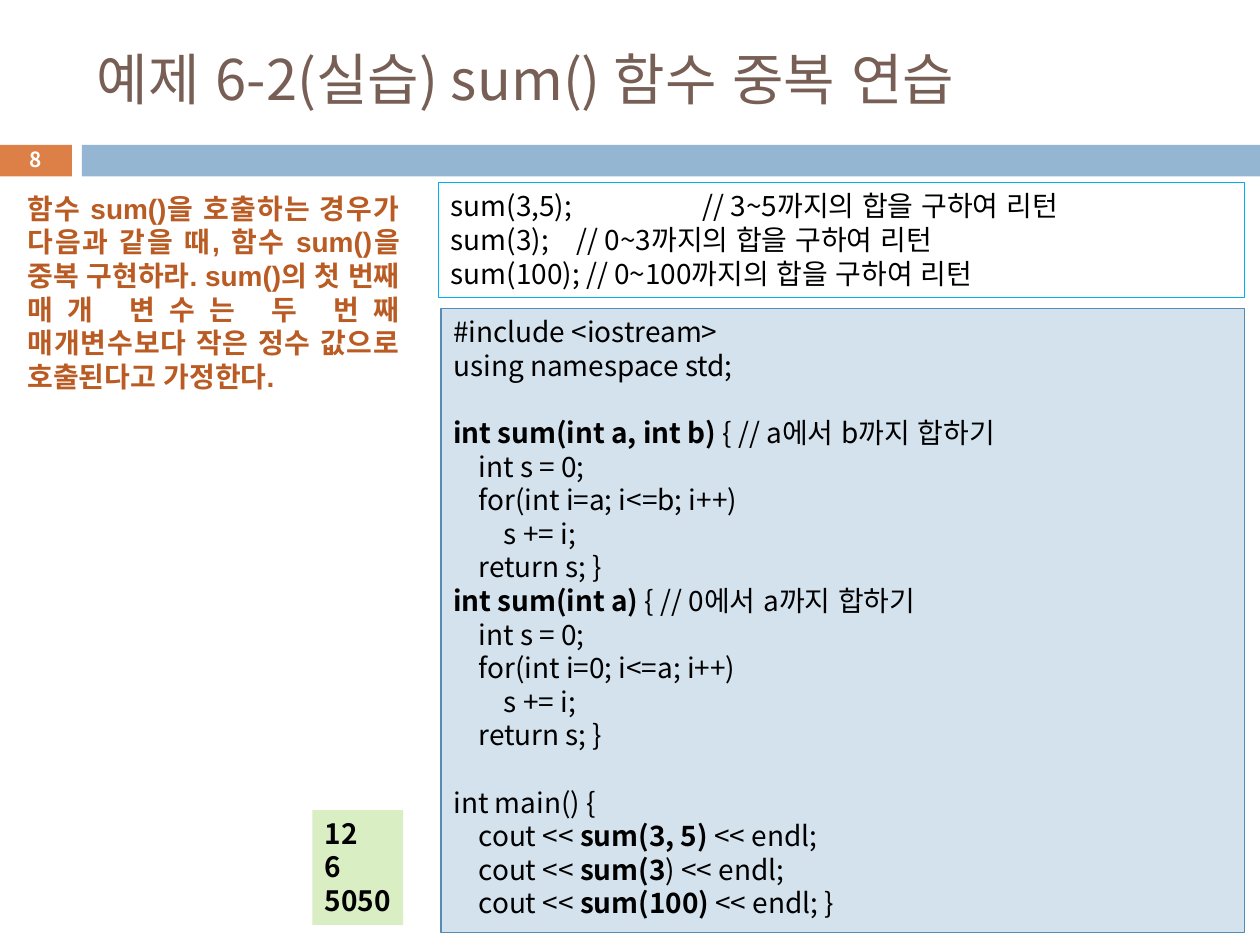
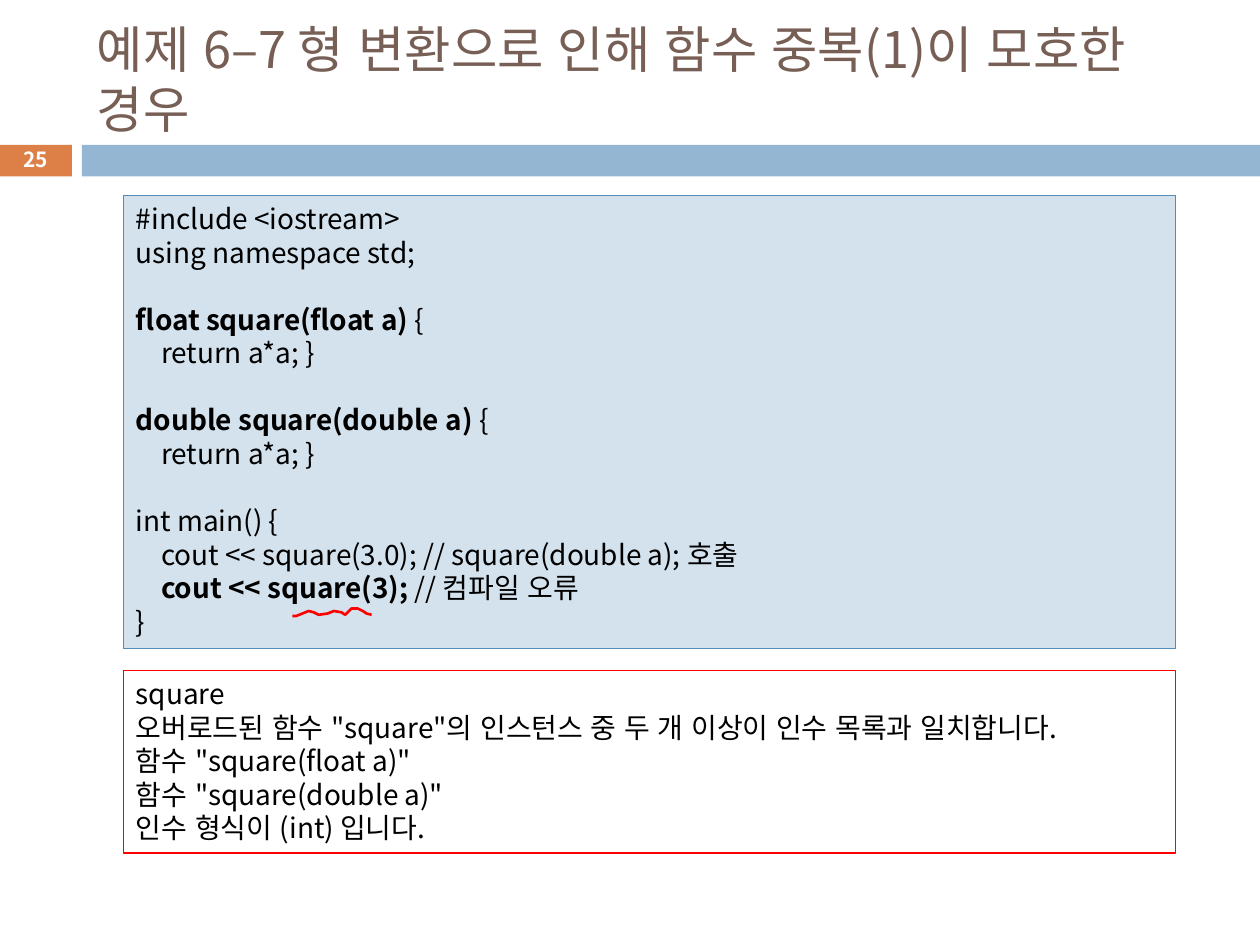
from lxml.etree import SubElement
from pptx import Presentation
from pptx.dml.color import RGBColor as RGB
from pptx.enum.lang import MSO_LANGUAGE_ID as Lang
from pptx.enum.shapes import MSO_SHAPE as Shape
from pptx.enum.text import MSO_ANCHOR as Anchor, PP_ALIGN as Align
from pptx.oxml.ns import qn
from pptx.util import Inches, Pt

SANS, ARIAL = "Noto Sans CJK KR", "Arial"
BLACK, WHITE, RED = RGB(0, 0, 0), RGB(255, 255, 255), RGB(255, 0, 0)
ORANGE, BLUE = RGB(0xDD, 0x80, 0x47), RGB(0x94, 0xB6, 0xD2)
BROWN, RUST = RGB(0x77, 0x5F, 0x55), RGB(0xB9, 0x5B, 0x22)
PALE, STEEL = RGB(0xD4, 0xE2, 0xED), RGB(0x55, 0x8B, 0xB8)
CYAN, GREEN = RGB(0x00, 0xB0, 0xF0), RGB(0xDA, 0xEE, 0xC4)
LEAD = 1.2  # line pitch as a multiple of the text size
CODE_TABS, CALL_TABS = (0.2, 0.4), (1, 2)

# Text between ** marks is bold; an empty line opens a gap.
TASK = ["**함수 sum()을 호출하는 경우가 다음과 같을 때, 함수 sum()을 중복 구현하라. "
        "sum()의 첫 번째 매개 변수는 두 번째 매개변수보다 작은 정수 값으로 호출된다고 가정한다.**"]
CALLS = [
    "sum(3,5); \t// 3~5까지의 합을 구하여 리턴",
    "sum(3); \t// 0~3까지의 합을 구하여 리턴",
    "sum(100); // 0~100까지의 합을 구하여 리턴",
]
SUM_CODE = [
    "#include <iostream>",
    "using namespace std;",
    "",
    "**int sum(int a, int b) **{ // a에서 b까지 합하기",
    "\tint s = 0;",
    "\tfor(int i=a; i<=b; i++)",
    "\t\ts += i;",
    "\treturn s; }",
    "**int sum(int a) **{ // 0에서 a까지 합하기",
    "\tint s = 0;",
    "\tfor(int i=0; i<=a; i++)",
    "\t\ts += i;",
    "\treturn s; }",
    "",
    "int main() {",
    "\tcout << **sum(3, 5) **<< endl;",
    "\tcout << **sum(3**) << endl;",
    "\tcout << **sum(100) **<< endl; }",
]
RESULT = ["**12**", "**6**", "**5050**"]
SQUARE_CODE = [
    "#include <iostream>",
    "using namespace std;",
    "",
    "**float square(float a) **{",
    "\treturn a*a; }",
    "",
    "**double square(double a) **{",
    "\treturn a*a; }",
    "",
    "int main() {",
    "\tcout << square(3.0); // square(double a); 호출",
    "\t**cout << square(3);** // 컴파일 오류",
    "}",
]
ERROR = [
    "square",
    '오버로드된 함수 "square"의 인스턴스 중 두 개 이상이 인수 목록과 일치합니다.',
    '함수 "square(float a)"',
    '함수 "square(double a)"',
    "인수 형식이 (int) 입니다.",
]
WAVE = [(2.32, 4.89), (2.35, 4.89), (2.4, 4.87), (2.45, 4.85), (2.49, 4.86),
        (2.53, 4.88), (2.6, 4.87), (2.65, 4.85), (2.71, 4.86), (2.74, 4.88),
        (2.79, 4.83), (2.84, 4.83), (2.88, 4.85), (2.91, 4.87), (2.95, 4.88)]


def add_run(para, text, size, color, font, bold):
    run = para.add_run()
    run.text = text
    face = run.font
    face.size, face.bold, face.name = Pt(size), bold, font
    face.color.rgb = color
    face.language_id = Lang.KOREAN
    SubElement(face._element, qn("a:ea"), typeface=SANS)


def add_tabs(para, stops):
    tabs = SubElement(para._p.get_or_add_pPr(), qn("a:tabLst"))
    for stop in stops:
        SubElement(tabs, qn("a:tab"), pos=str(Inches(stop)), algn="l")


def write(shape, lines, size=16, color=BLACK, font=SANS, align=Align.LEFT,
          anchor=Anchor.TOP, tabs=(), wrap=True):
    frame = shape.text_frame
    frame.word_wrap, frame.vertical_anchor = wrap, anchor
    para, gap = frame.paragraphs[0], False
    for i, line in enumerate(lines):
        if not line:
            gap = True
            continue
        if i:
            para = frame.add_paragraph()
        if tabs:
            add_tabs(para, tabs)
        para.alignment, para.line_spacing = align, Pt(size * LEAD)
        if gap:
            para.space_before, gap = Pt(size * LEAD), False
        for part, text in enumerate(line.split("**")):
            if text:
                add_run(para, text, size, color, font, part % 2 == 1)


def add_text(slide, at, lines, **style):
    write(slide.shapes.add_textbox(*map(Inches, at)), lines, **style)


def paint(shape, fill=None, line=None, width=0.75):
    shape.shadow.inherit = False
    if fill is None:
        shape.fill.background()
    else:
        shape.fill.solid()
        shape.fill.fore_color.rgb = fill
    if line is None:
        shape.line.fill.background()
    else:
        shape.line.color.rgb, shape.line.width = line, Pt(width)


def add_box(slide, at, lines=(), fill=None, line=None, **style):
    box = slide.shapes.add_shape(Shape.RECTANGLE, *map(Inches, at))
    paint(box, fill, line)
    if lines:
        write(box, lines, **style)


def add_code(slide, at, lines):
    add_box(slide, at, lines, PALE, STEEL, tabs=CODE_TABS)


def add_wave(slide, points):
    """Draw the red underline of a compile error."""
    start, *rest = [(Inches(x), Inches(y)) for x, y in points]
    pen = slide.shapes.build_freeform(*start)
    pen.add_line_segments(rest, close=False)
    paint(pen.convert_to_shape(), line=RED, width=1.5)


def add_slide(deck, title, size, number):
    """Add a slide with the bands, title and number that all share."""
    slide = deck.slides.add_slide(deck.slide_layouts[6])
    add_box(slide, (-0.01, 1.15, 0.58, 0.25), fill=ORANGE)
    add_box(slide, (0.65, 1.15, 9.35, 0.25), fill=BLUE)
    add_text(slide, (0.67, 0.25, 8.92, 0.74), [title], size=size, color=BROWN,
             anchor=Anchor.MIDDLE)
    add_text(slide, (-0.01, 1.13, 0.58, 0.27), [f"**{number}**"], size=11.9,
             color=WHITE, align=Align.CENTER, anchor=Anchor.MIDDLE)
    return slide


def main():
    deck = Presentation()
    deck.slide_width, deck.slide_height = Inches(10), Inches(7.5)

    slide = add_slide(deck, "예제 6-2(실습) sum() 함수 중복 연습", 32, 8)
    add_box(slide, (3.48, 1.45, 6.4, 0.91), CALLS, line=CYAN, tabs=CALL_TABS)
    add_code(slide, (3.5, 2.45, 6.38, 4.95), SUM_CODE)
    add_box(slide, (2.48, 6.43, 0.72, 0.91), RESULT, GREEN, wrap=False)
    add_text(slide, (0.12, 1.47, 3.15, 1.99), TASK, color=RUST, font=ARIAL,
             align=Align.JUSTIFY)

    slide = add_slide(deck, "예제 6–7 형 변환으로 인해 함수 중복(1)이 모호한 경우", 28.8, 25)
    add_code(slide, (0.98, 1.55, 8.35, 3.6), SQUARE_CODE)
    add_box(slide, (0.98, 5.32, 8.35, 1.45), ERROR, line=RED)
    add_wave(slide, WAVE)

    deck.save("out.pptx")


if __name__ == "__main__":
    main()
